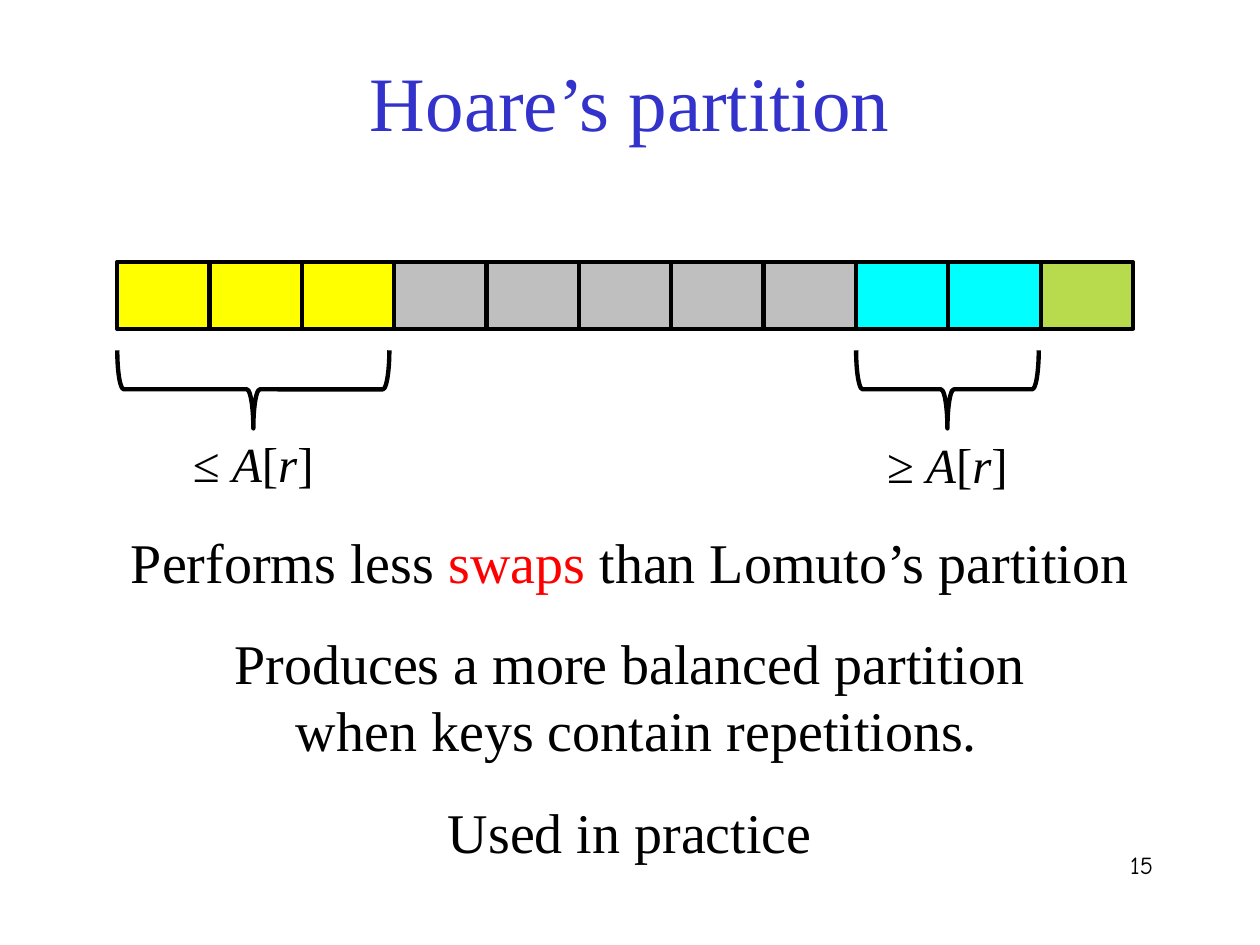
from pptx import Presentation
from pptx.dml.color import RGBColor
from pptx.enum.shapes import MSO_SHAPE
from pptx.enum.text import MSO_ANCHOR, PP_ALIGN
from pptx.oxml.ns import qn
from pptx.util import Inches, Pt
from lxml import etree

COLORS = {
    "text": "000000", "title": "3333CC", "accent": "FF0000",
    "smaller": "FFFF00", "unseen": "BFBFBF", "larger": "00FFFF", "pivot": "99CC00",
}


def rgb(name):
    return RGBColor.from_string(COLORS[name])


class SlideBuilder:
    font = "Times New Roman"

    def __init__(self, s):
        self.s = s

    def fill_paragraph(self, p, runs, size, font=None, align=PP_ALIGN.CENTER):
        """Fill a paragraph with (text, colour, italic) runs; "\\n" is a line break."""
        p.alignment = align
        for text, color, italic in runs:
            if text == "\n":
                p.add_line_break()
                continue
            r = p.add_run()
            r.text = text
            r.font.name = font or self.font
            r.font.size = Pt(size)
            r.font.italic = italic
            r.font.color.rgb = rgb(color)

    def title(self, text, box):
        sp = self.s.shapes.title
        sp.left, sp.top, sp.width, sp.height = map(Inches, box)
        sp.text_frame.vertical_anchor = MSO_ANCHOR.TOP
        self.fill_paragraph(sp.text_frame.paragraphs[0], [(text, "title", False)], 44)

    def text(self, box, runs, size, anchor=MSO_ANCHOR.TOP, parent=None, **style):
        sp = (parent or self.s).shapes.add_textbox(*map(Inches, box))
        tf = sp.text_frame
        tf.word_wrap = True
        tf.vertical_anchor = anchor
        self.fill_paragraph(tf.paragraphs[0], runs, size, **style)

    def statement(self, top, height, *runs):
        self.text((0, top, 10, height), runs, 32, MSO_ANCHOR.MIDDLE)

    def outline(self, sp, width):
        sp.shadow.inherit = False
        sp.line.color.rgb = rgb("text")
        sp.line.width = Pt(width)

    def cell(self, box, color, line_width, opacity=None):
        sp = self.s.shapes.add_shape(MSO_SHAPE.RECTANGLE, *map(Inches, box))
        self.outline(sp, line_width)
        sp.fill.solid()
        sp.fill.fore_color.rgb = rgb(color)
        if opacity:
            srgb = sp.element.spPr.find(qn("a:solidFill")).find(qn("a:srgbClr"))
            etree.SubElement(srgb, qn("a:alpha")).set("val", str(opacity * 1000))

    def brace(self, left, span, sign, label_width, label_top):
        """A downward brace over a span, grouped with its label."""
        depth, top = 0.62, 2.78
        center = left + span / 2
        group = self.s.shapes.add_group_shape()
        sp = group.shapes.add_shape(
            MSO_SHAPE.RIGHT_BRACE, Inches(center - depth / 2),
            Inches(top + (depth - span) / 2), Inches(depth), Inches(span))
        sp.rotation = 90
        sp.fill.background()
        self.outline(sp, 2.5)
        runs = [(sign + " ", "text", False), ("A", "text", True), ("[", "text", False),
                ("r", "text", True), ("]", "text", False)]
        self.text((center - label_width / 2, label_top, label_width, 0.57),
                  runs, 28, parent=group)


def main():
    prs = Presentation()
    prs.slide_width, prs.slide_height = Inches(10), Inches(7.5)
    b = SlideBuilder(prs.slides.add_slide(prs.slide_layouts[5]))

    # Title and page number
    b.title("Hoare’s partition", (0, 0.38, 10, 0.84))
    b.text((7.17, 6.7, 2.08, 0.5), [("15", "text", False)], 14,
           font="Comic Neue", align=PP_ALIGN.RIGHT)

    # Array cells by region
    left, pitch = 0.93, 0.733
    regions = [("smaller", 3, 2.5, None), ("unseen", 5, 2.5, None),
               ("larger", 2, 2.25, None), ("pivot", 1, 2.25, 70)]
    i = 0
    for color, count, line_width, opacity in regions:
        for _ in range(count):
            b.cell((left + i * pitch, 2.08, pitch, 0.53), color, line_width, opacity)
            i += 1

    # Braces under the partitioned regions
    b.brace(left, 2.16, "≤", 2.52, 3.39)
    b.brace(left + 8 * pitch, 1.45, "≥", 1.27, 3.4)

    # Statements
    b.statement(4.13, 0.64, ("Performs less ", "text", False), ("swaps", "accent", False),
                (" than Lomuto’s partition", "text", False))
    b.statement(4.93, 1.18, ("Produces a more balanced partition", "text", False),
                ("\n", "text", False), (" when keys contain repetitions.", "text", False))
    b.statement(6.28, 0.64, ("Used in practice", "text", False))

    prs.save("out.pptx")


if __name__ == "__main__":
    main()
